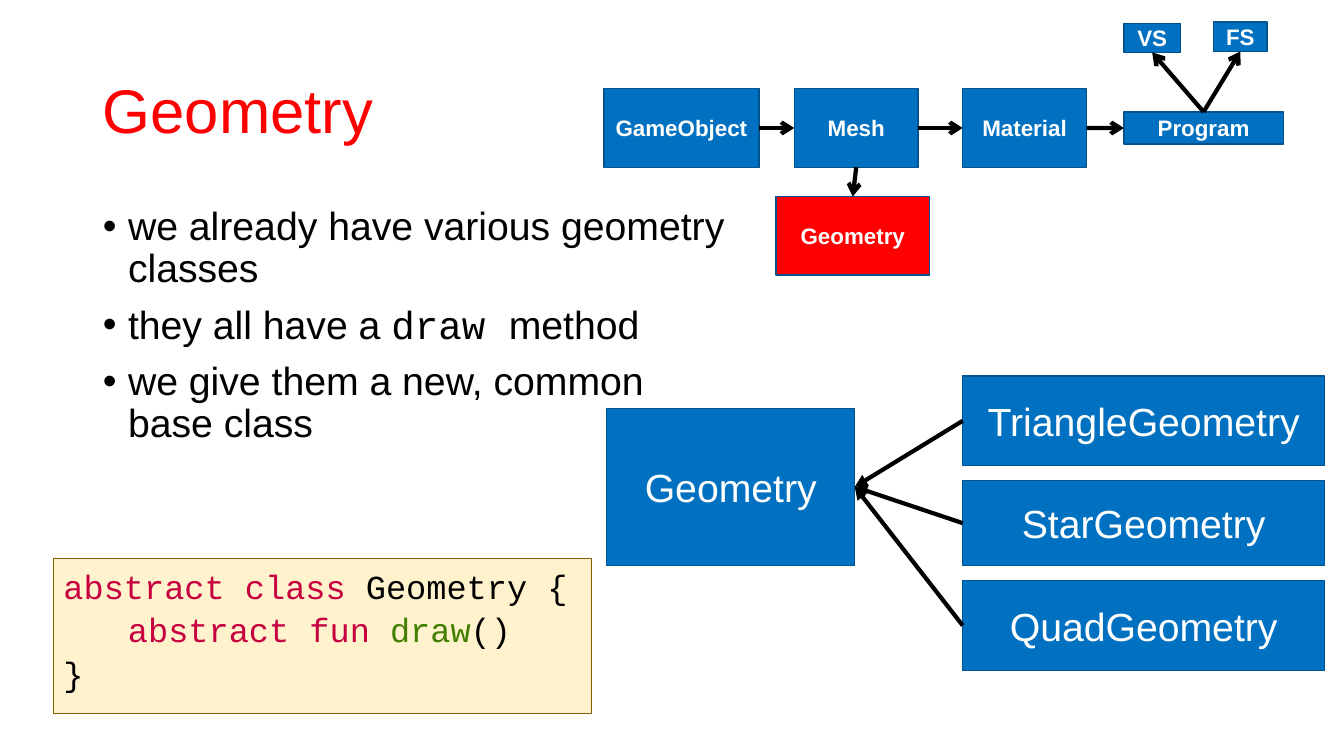
from lxml import etree
from pptx import Presentation
from pptx import util as u
from pptx.dml.color import RGBColor
from pptx.enum import shapes, text
from pptx.oxml.ns import qn

BLUE = RGBColor(0x00, 0x70, 0xC0)
EDGE = RGBColor(0x00, 0x53, 0x8E)
RED = RGBColor(0xFF, 0x00, 0x00)
BLACK = RGBColor(0x00, 0x00, 0x00)
WHITE = RGBColor(0xFF, 0xFF, 0xFF)
CREAM = RGBColor(0xFF, 0xF2, 0xCC)
OLIVE = RGBColor(0x80, 0x60, 0x00)
KEYWORD = RGBColor(0xC7, 0x00, 0x40)
FUNCTION = RGBColor(0x42, 0x7E, 0x00)
SANS, MONO = "Arial", "Courier New"
TOP, LEFT, BOTTOM, RIGHT = range(4)

deck = Presentation()
deck.slide_width, deck.slide_height = u.Inches(13.333), u.Inches(7.5)
# The grid has 100 columns and 100 rows
COLUMN, ROW = deck.slide_width / 100, deck.slide_height / 100
page = deck.slides.add_slide(deck.slide_layouts[1])


def add_box(label, column, row, columns, rows, size, fill=BLUE, edge=EDGE, weight=1):
    box = page.shapes.add_shape(
        shapes.MSO_SHAPE.RECTANGLE, int(column * COLUMN), int(row * ROW),
        int(columns * COLUMN), int(rows * ROW))
    box.shadow.inherit = False
    box.fill.solid()
    box.fill.fore_color.rgb = fill
    box.line.color.rgb = edge
    box.line.width = u.Pt(weight)
    box.text_frame.text = label
    para = box.text_frame.paragraphs[0]
    para.alignment = text.PP_ALIGN.CENTER
    for span in para.runs:
        span.font.name, span.font.size = SANS, u.Pt(size)
        span.font.bold = size < 20
        span.font.color.rgb = WHITE
    return box


def join(start, start_side, end, end_side, tip, kind):
    line = page.shapes.add_connector(shapes.MSO_CONNECTOR.STRAIGHT, 0, 0, 0, 0)
    line.begin_connect(start, start_side)
    line.end_connect(end, end_side)
    line.line.color.rgb = BLACK
    line.line.width = u.Pt(3)
    properties = line._element.spPr
    etree.SubElement(properties.find(qn("a:ln")), qn(tip), type=kind)
    etree.SubElement(properties, qn("a:effectLst"))


# Title
title = page.shapes.title
title.left, title.top = int(6.9 * COLUMN), int(5.33 * ROW)
title.width, title.height = int(86.25 * COLUMN), int(19.33 * ROW)
title.text_frame.text = "Geometry"
title.text_frame.vertical_anchor = text.MSO_ANCHOR.MIDDLE
para = title.text_frame.paragraphs[0]
para.alignment = text.PP_ALIGN.LEFT
para.line_spacing = 0.9
font = para.runs[0].font
font.name, font.size, font.color.rgb = SANS, u.Pt(44), RED

# Bullet list
body = page.placeholders[1]
body.left, body.top = int(6.9 * COLUMN), int(26.67 * ROW)
body.width, body.height = int(48.75 * COLUMN), int(63.47 * ROW)
body.text_frame.auto_size = text.MSO_AUTO_SIZE.NONE
points = [
    [("we already have various geometry classes", SANS)],
    [("they all have a ", SANS), ("draw ", MONO), ("method", SANS)],
    [("we give them a new, common base class", SANS)],
]
for index, spans in enumerate(points):
    para = body.text_frame.add_paragraph() if index else body.text_frame.paragraphs[0]
    para.line_spacing = 0.9
    para.space_before = u.Pt(10 if index else 0)
    indent = u.Inches(0.25)
    para._p.get_or_add_pPr().set("marL", str(indent))
    para._p.get_or_add_pPr().set("indent", str(-indent))
    for words, face in spans:
        span = para.add_run()
        span.text = words
        span.font.name, span.font.size = face, u.Pt(28)
        span.font.color.rgb = BLACK

# Base class and its subclasses
base = add_box("Geometry", 45.15, 54, 18.45, 20.8, 28)
for label, row, rows in [("TriangleGeometry", 49.73, 11.87),
                         ("StarGeometry", 63.6, 11.2),
                         ("QuadGeometry", 76.8, 11.87)]:
    subclass = add_box(label, 71.63, row, 26.93, rows, 28)
    join(base, RIGHT, subclass, LEFT, "a:headEnd", "triangle")

# Object chain along the top
game_object = add_box("GameObject", 44.93, 11.73, 11.55, 10.4, 16)
mesh = add_box("Mesh", 59.1, 11.73, 9.22, 10.4, 16)
material = add_box("Material", 71.63, 11.73, 9.22, 10.4, 16)
program = add_box("Program", 83.63, 14.8, 11.85, 4.27, 16)
geometry = add_box("Geometry", 57.75, 26, 11.4, 10.4, 16, RED)
vertex_shader = add_box("VS", 83.63, 3.07, 4.2, 3.87, 16)
fragment_shader = add_box("FS", 90.3, 2.93, 3.98, 3.87, 16)
for start, start_side, end, end_side in [
    (game_object, RIGHT, mesh, LEFT),
    (mesh, RIGHT, material, LEFT),
    (material, RIGHT, program, LEFT),
    (mesh, BOTTOM, geometry, TOP),
    (program, TOP, vertex_shader, BOTTOM),
    (program, TOP, fragment_shader, BOTTOM),
]:
    join(start, start_side, end, end_side, "a:tailEnd", "arrow")

# Code listing
code = add_box("", 3.98, 73.87, 40.05, 20.53, 24, CREAM, OLIVE, 0.75)
code.text_frame.vertical_anchor = text.MSO_ANCHOR.TOP
code.text_frame.word_wrap = True
code_lines = [
    [("abstract class ", KEYWORD), ("Geometry {", BLACK)],
    [("\tabstract fun ", KEYWORD), ("draw", FUNCTION), ("()", BLACK)],
    [("}", BLACK)],
]
for index, spans in enumerate(code_lines):
    para = code.text_frame.add_paragraph() if index else code.text_frame.paragraphs[0]
    tabs = etree.SubElement(para._p.get_or_add_pPr(), qn("a:tabLst"))
    etree.SubElement(tabs, qn("a:tab"), pos=str(u.Inches(0.64)), algn="l")
    para.alignment = text.PP_ALIGN.LEFT
    para.line_spacing = 1.07
    for words, color in spans:
        span = para.add_run()
        span.text = words
        span.font.name, span.font.size = MONO, u.Pt(24)
        span.font.color.rgb = color

deck.save("out.pptx")
